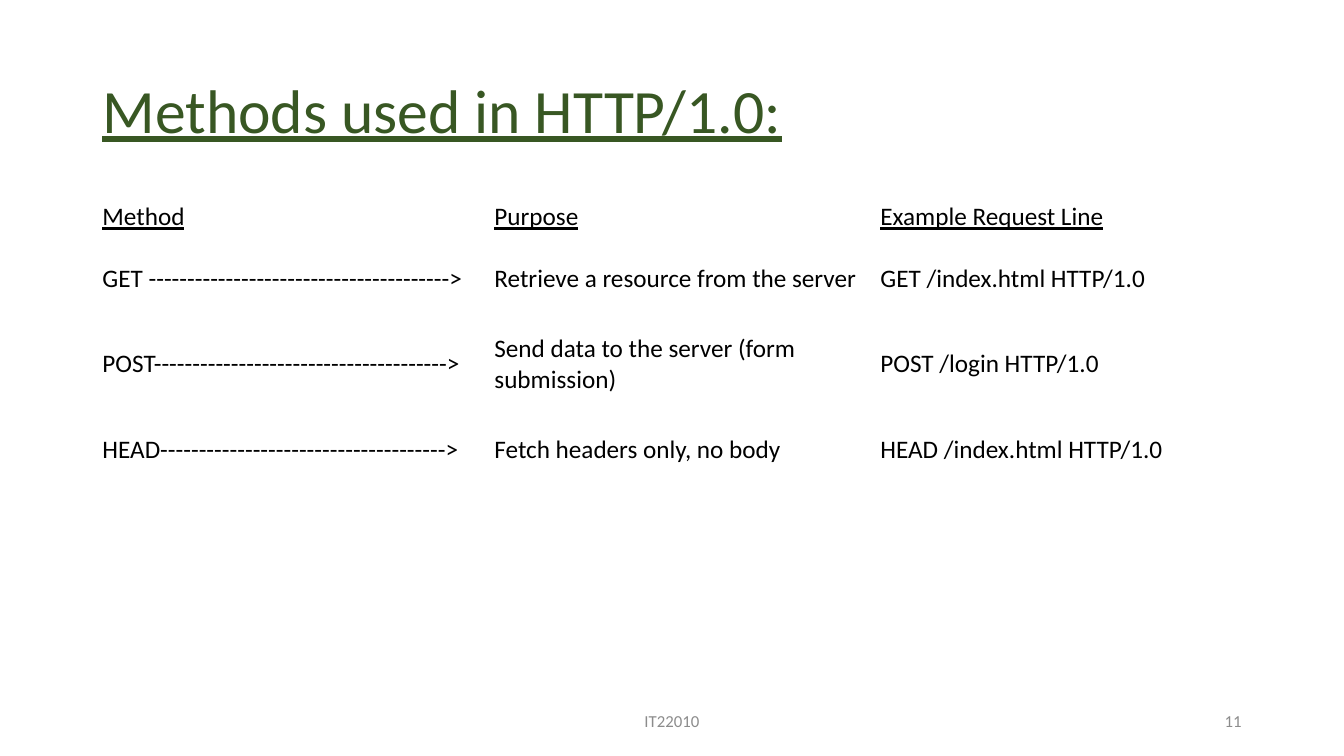
from dataclasses import dataclass

from pptx import Presentation
from pptx import util as u
from pptx.dml.color import RGBColor
from pptx.enum import text


@dataclass(frozen=True)
class Theme:
    font: str = "Calibri"
    title_color: str = "385723"
    body_color: str = "000000"
    footer_color: str = "8C8C8C"
    title_size: int = 44
    body_size: int = 18
    footer_size: int = 12


THEME = Theme()
METHODS = [
    ("Method", "Purpose", "Example Request Line"),
    ("GET --------------------------------------->",
     "Retrieve a resource from the server", "GET /index.html HTTP/1.0"),
    ("POST-------------------------------------->",
     "Send data to the server (form submission)", "POST /login HTTP/1.0"),
    ("HEAD------------------------------------->",
     "Fetch headers only, no body", "HEAD /index.html HTTP/1.0"),
]
COLUMN_WIDTHS = (280, 275.75, 275.75)
ROW_HEIGHTS = (44, 44, 78, 44)


def write_text(frame, content, *, size, color, underline=False,
               align=text.PP_ALIGN.LEFT, line_spacing=1.0):
    paragraph = frame.paragraphs[0]
    paragraph.alignment = align
    paragraph.line_spacing = line_spacing
    run = paragraph.add_run()
    run.text = content
    run.font.name = THEME.font
    run.font.size = u.Pt(size)
    run.font.bold = False
    run.font.underline = underline
    run.font.color.rgb = RGBColor.from_string(color)


def place_title(slide, left, top, width, height):
    title = slide.shapes.title
    title.left, title.top = u.Pt(left), u.Pt(top)
    title.width, title.height = u.Pt(width), u.Pt(height)
    frame = title.text_frame
    frame.word_wrap = True
    frame.auto_size = text.MSO_AUTO_SIZE.NONE
    frame.vertical_anchor = text.MSO_ANCHOR.MIDDLE
    write_text(frame, "Methods used in HTTP/1.0:", size=THEME.title_size,
               color=THEME.title_color, underline=True, line_spacing=0.9)


def place_methods_table(slide, left, top, width, height):
    table = slide.shapes.add_table(
        len(METHODS), len(COLUMN_WIDTHS),
        u.Pt(left), u.Pt(top), u.Pt(width), u.Pt(height)).table
    table.first_row = False
    table.horz_banding = False
    for column, column_width in zip(table.columns, COLUMN_WIDTHS):
        column.width = u.Pt(column_width)
    for row_index, (row, row_height) in enumerate(zip(table.rows, ROW_HEIGHTS)):
        row.height = u.Pt(row_height)
        for cell, content in zip(row.cells, METHODS[row_index]):
            cell.fill.background()
            cell.vertical_anchor = text.MSO_ANCHOR.MIDDLE
            write_text(cell.text_frame, content, size=THEME.body_size,
                       color=THEME.body_color, underline=row_index == 0)


def place_footer(slide, left, top, width, height, content, align):
    box = slide.shapes.add_textbox(
        u.Pt(left), u.Pt(top), u.Pt(width), u.Pt(height))
    frame = box.text_frame
    frame.word_wrap = True
    frame.vertical_anchor = text.MSO_ANCHOR.MIDDLE
    write_text(frame, content, size=THEME.footer_size,
               color=THEME.footer_color, align=align)


def main():
    presentation = Presentation()
    presentation.slide_width = u.Pt(960)
    presentation.slide_height = u.Pt(540)
    slide = presentation.slides.add_slide(presentation.slide_layouts[5])
    place_title(slide, 66, 28.75, 828, 104.4)
    place_methods_table(slide, 66, 133.15, sum(COLUMN_WIDTHS), sum(ROW_HEIGHTS))
    place_footer(slide, 318, 500.5, 324, 28.75, "IT22010", text.PP_ALIGN.CENTER)
    place_footer(slide, 678, 500.5, 216, 28.75, "11", text.PP_ALIGN.RIGHT)
    presentation.save("out.pptx")


if __name__ == "__main__":
    main()
